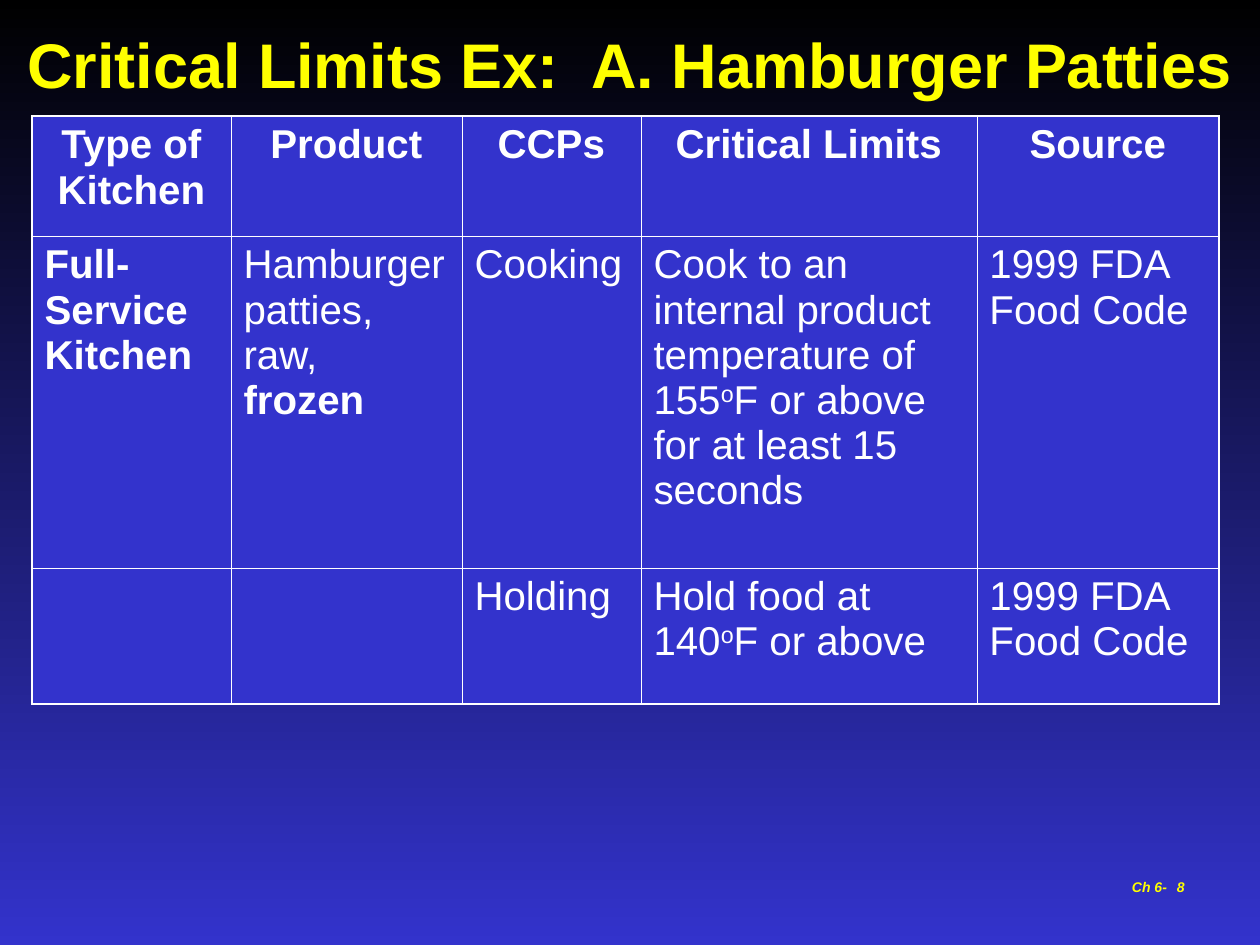
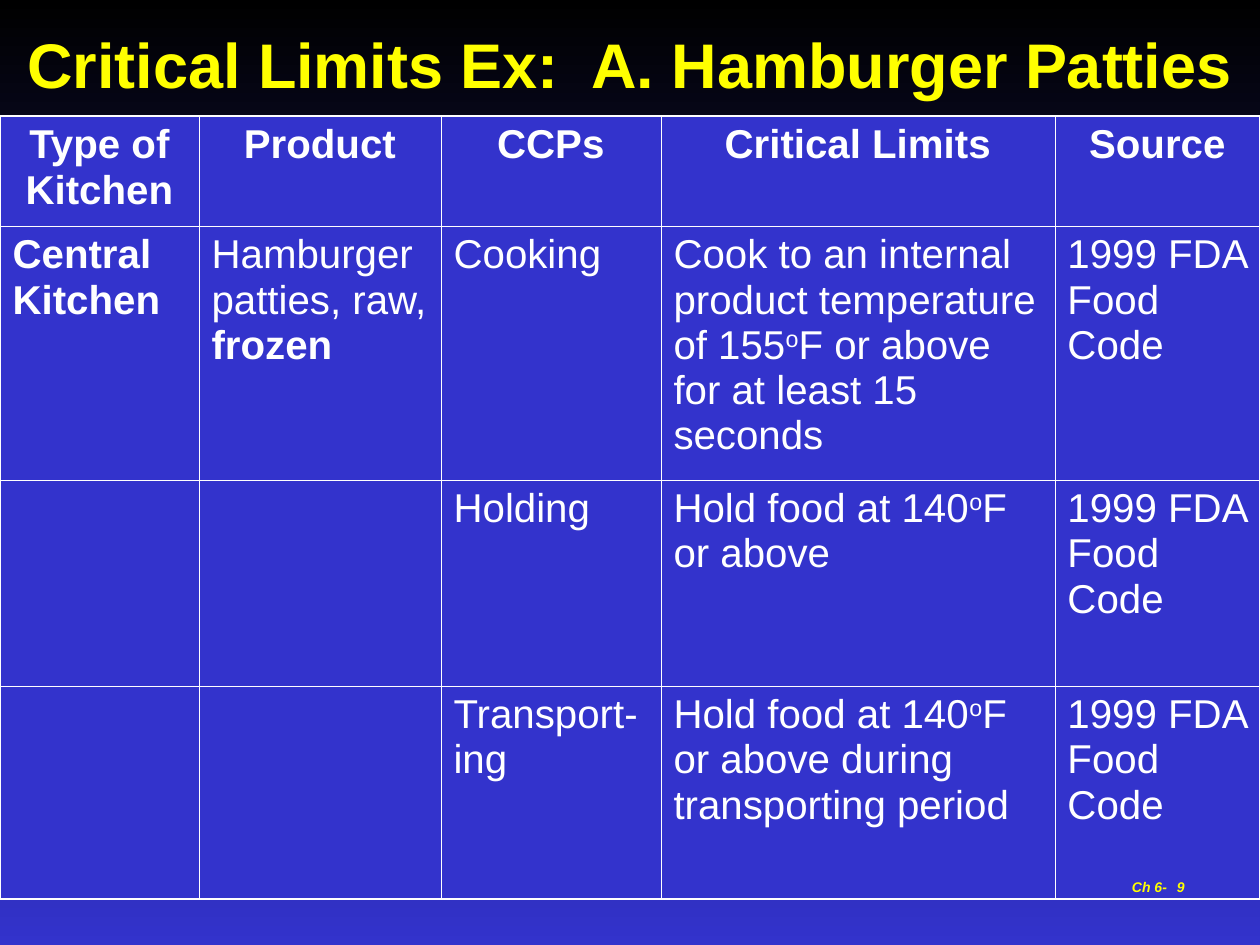
"""Build two slides of critical limits tables for hamburger patties."""
from dataclasses import dataclass

from lxml import etree
from pptx import Presentation
from pptx import util as u
from pptx.dml.color import RGBColor
from pptx.enum import text
from pptx.oxml.ns import qn


@dataclass(frozen=True)
class Theme:
    font: str = "Arial"
    black: RGBColor = RGBColor(0x00, 0x00, 0x00)
    blue: RGBColor = RGBColor(0x33, 0x33, 0xCC)
    white: RGBColor = RGBColor(0xFF, 0xFF, 0xFF)
    yellow: RGBColor = RGBColor(0xFF, 0xFF, 0x00)
    title_size: int = 36
    table_size: int = 23
    footer_size: int = 8
    outer_line: float = 1.08
    inner_line: float = 0.45


THEME = Theme()
EMU_PER_PX = 914400 / 126
TITLE = "Critical Limits Ex:  A. Hamburger Patties"
TABLE_TOP = 116
HEADER = ["Type of Kitchen", "Product", "CCPs", "Critical Limits", "Source"]
PRODUCT = ("Hamburger patties, raw,", " frozen")
SOURCE = "1999 FDA Food Code"
COOK = ("Cook to an internal product temperature of 155", "o", "F or above for at least 15 seconds")
HOLD = ("Hold food at 140", "o", "F or above")
HOLD_IN_TRANSIT = ("Hold food at 140", "o", "F or above during transporting period")

SLIDES = [
    dict(
        number="8",
        left=32,
        columns=[199, 231, 179, 336, 242],
        heights=[120, 332, 136],
        rows=[
            HEADER,
            ["Full-Service Kitchen", PRODUCT, "Cooking", COOK, SOURCE],
            ["", "", "Holding", HOLD, SOURCE],
        ],
    ),
    dict(
        number="9",
        left=0,
        columns=[199, 242, 220, 394, 205],
        heights=[110, 254, 206, 213],
        rows=[
            HEADER,
            ["Central Kitchen", PRODUCT, "Cooking", COOK, SOURCE],
            ["", "", "Holding", HOLD, SOURCE],
            ["", "", "Transport-ing", HOLD_IN_TRANSIT, SOURCE],
        ],
    ),
]


def px(*lengths):
    return [u.Emu(round(length * EMU_PER_PX)) for length in lengths]


def format_run(run, size, color, bold=True, italic=False):
    run.font.name = THEME.font
    run.font.size = u.Pt(size)
    run.font.color.rgb = color
    run.font.bold = bold
    run.font.italic = italic


presentation = Presentation()
presentation.slide_width, presentation.slide_height = px(1260, 945)

background = presentation.slide_master.background.fill
background.gradient()
background.gradient_angle = 270
for stop, color, position in zip(background.gradient_stops, (THEME.black, THEME.blue), (0, 1)):
    stop.color.rgb = color
    stop.position = position

for content in SLIDES:
    slide = presentation.slides.add_slide(presentation.slide_layouts[5])

    title = slide.shapes.title
    title.left, title.top, title.width, title.height = px(0, 0, 1260, 126)
    title.text_frame.text = TITLE
    title.text_frame.auto_size = text.MSO_AUTO_SIZE.NONE
    title.text_frame.vertical_anchor = text.MSO_ANCHOR.MIDDLE
    paragraph = title.text_frame.paragraphs[0]
    paragraph.alignment = text.PP_ALIGN.CENTER
    format_run(paragraph.runs[0], THEME.title_size, THEME.yellow)

    rows, columns, heights = content["rows"], content["columns"], content["heights"]
    last_row, last_column = len(rows) - 1, len(columns) - 1
    table = slide.shapes.add_table(
        len(rows), len(columns), *px(content["left"], TABLE_TOP, sum(columns), sum(heights))
    ).table
    for column, width in zip(table.columns, px(*columns)):
        column.width = width
    for row, height in zip(table.rows, px(*heights)):
        row.height = height

    for row_index, row in enumerate(rows):
        for column_index, value in enumerate(row):
            cell = table.cell(row_index, column_index)
            outer_edges = {
                "a:lnL": column_index == 0,
                "a:lnR": column_index == last_column,
                "a:lnT": row_index == 0,
                "a:lnB": row_index == last_row,
            }
            properties = cell._tc.get_or_add_tcPr()
            for edge, is_outer in outer_edges.items():
                width = u.Pt(THEME.outer_line if is_outer else THEME.inner_line)
                line = etree.SubElement(properties, qn(edge), w=str(width))
                line_fill = etree.SubElement(line, qn("a:solidFill"))
                etree.SubElement(line_fill, qn("a:srgbClr"), val=str(THEME.white))
            cell.fill.solid()
            cell.fill.fore_color.rgb = THEME.blue

            paragraph = cell.text_frame.paragraphs[0]
            if row_index == 0:
                paragraph.alignment = text.PP_ALIGN.CENTER
            pieces = value if isinstance(value, tuple) else (value,)
            for piece in filter(None, pieces):
                run = paragraph.add_run()
                run.text = piece
                bold = row_index == 0 or column_index == 0 or piece == " frozen"
                format_run(run, THEME.table_size, THEME.white, bold)
                if piece == "o":
                    run._r.get_or_add_rPr().set("baseline", "30000")

    footers = [
        ("Ch 6-", (1102, 872, 95, 32), text.PP_ALIGN.CENTER),
        (content["number"], (914, 872, 283, 63), text.PP_ALIGN.RIGHT),
    ]
    for label, box, alignment in footers:
        footer = slide.shapes.add_textbox(*px(*box))
        footer.text_frame.word_wrap = True
        footer.text_frame.text = label
        paragraph = footer.text_frame.paragraphs[0]
        paragraph.alignment = alignment
        format_run(paragraph.runs[0], THEME.footer_size, THEME.yellow, italic=True)

presentation.save("out.pptx")
